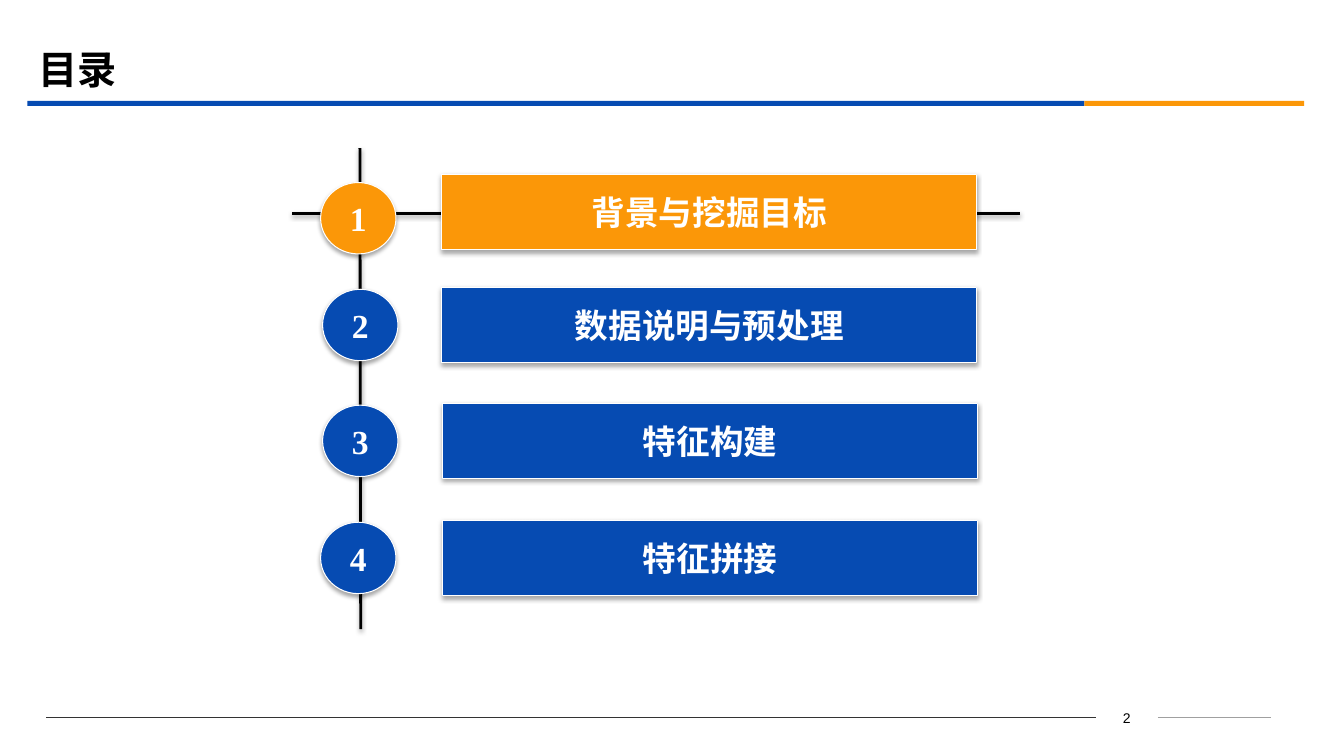
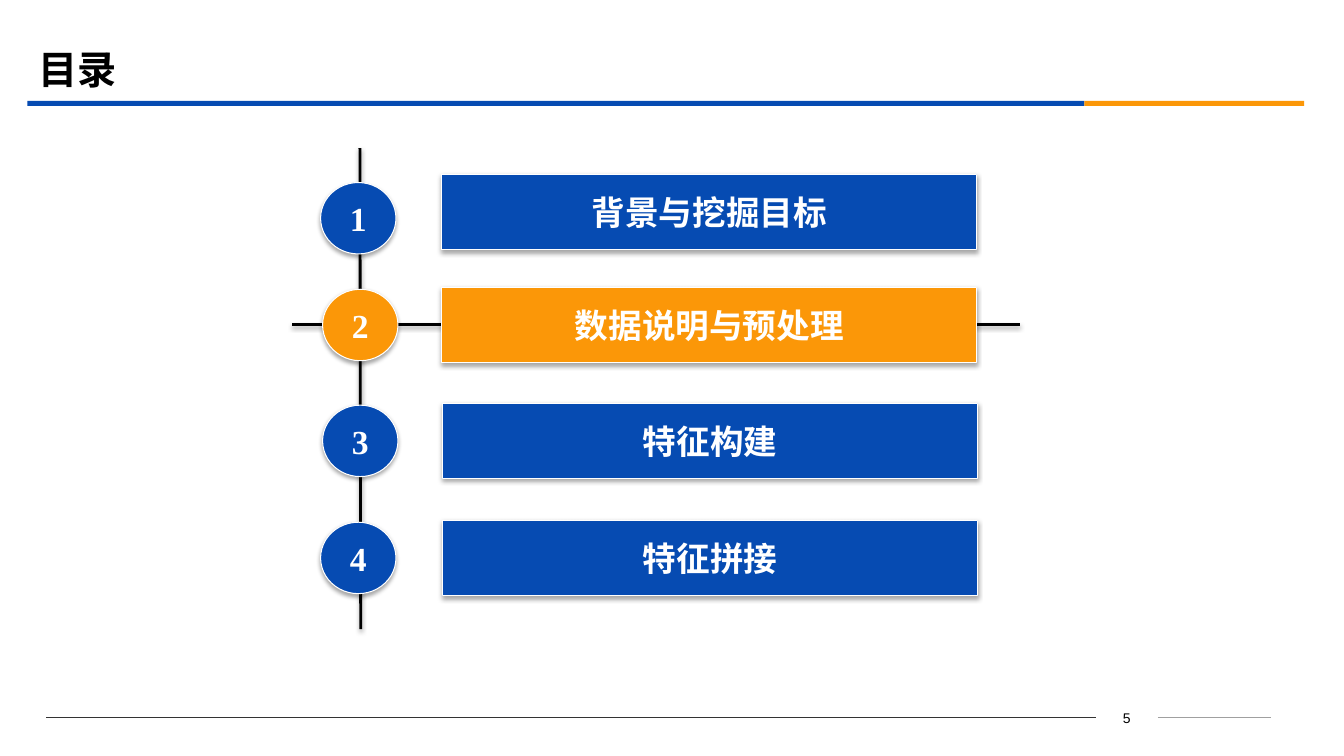
from pptx import Presentation
from pptx.dml.color import RGBColor
from pptx.enum.shapes import MSO_CONNECTOR as CONN, MSO_SHAPE as SHAPE
from pptx.enum.text import MSO_ANCHOR as ANCHOR, PP_ALIGN as ALIGN
from pptx.oxml.ns import qn
from pptx.util import Cm, Pt
from lxml.etree import SubElement

# Colours
BLUE = RGBColor(0x06, 0x4B, 0xB2)
ORANGE = RGBColor(0xFB, 0x97, 0x08)
BLACK = RGBColor(0x00, 0x00, 0x00)
WHITE = RGBColor(0xFF, 0xFF, 0xFF)
DARK = RGBColor(0x33, 0x33, 0x33)
GREY = RGBColor(0xA0, 0xA0, 0xA0)

# Text styles
CJK_FONT = "Noto Sans CJK SC"
TITLE = {"name": CJK_FONT, "size": Pt(28), "bold": True}
ITEM = {"name": "Times New Roman", "size": Pt(24), "bold": True}
NUMBER = {"name": "Arial", "size": Pt(10), "bold": False}

# Shared parts: bands (left, width, colour), footer rules (start, end, colour)
BANDS = [(0.69, 26.64, BLUE), (27.33, 5.54, ORANGE)]
RULES = [(1.17, 27.61, DARK), (29.18, 32.03, GREY)]
RULE_Y = 18.08

# Agenda rows: label, circle left and top, bar left and top
ROWS = [
    ("背景与挖掘目标", 8.08, 4.6, 11.13, 4.39),
    ("数据说明与预处理", 8.13, 7.29, 11.13, 7.24),
    ("特征构建", 8.13, 10.21, 11.15, 10.16),
    ("特征拼接", 8.08, 13.16, 11.15, 13.11),
]

# Slides: page number, active row, height of the marker line
SLIDES = [(2, 0, 5.38), (5, 1, 8.18)]


def put_text(sp, text, style, color, align, anchor=ANCHOR.MIDDLE, wrap=True):
    tf = sp.text_frame
    tf.word_wrap = wrap
    tf.vertical_anchor = anchor
    p = tf.paragraphs[0]
    p.alignment = align
    r = p.add_run()
    r.text = text
    for key, value in style.items():
        setattr(r.font, key, value)
    r.font.color.rgb = color
    SubElement(r.font._element, qn("a:ea"), typeface=CJK_FONT)


def set_shadow(sp, alpha=0, dist=0):
    """Replace the theme shadow by a soft one below, or by none."""
    effects = SubElement(sp._element.spPr, qn("a:effectLst"))
    if alpha:
        shadow = SubElement(effects, qn("a:outerShdw"), blurRad="40000",
                            dist=str(dist), dir="5400000", rotWithShape="0")
        color = SubElement(shadow, qn("a:srgbClr"), val=str(BLACK))
        SubElement(color, qn("a:alpha"), val=str(alpha * 1000))


prs = Presentation()
prs.slide_width, prs.slide_height = Cm(33.87), Cm(19.05)

for page, active, marker_y in SLIDES:
    s = prs.slides.add_slide(prs.slide_layouts[6])

    # Title and bands
    for left, width, color in BANDS:
        sp = s.shapes.add_shape(SHAPE.RECTANGLE, Cm(left), Cm(2.54), Cm(width), Cm(0.13))
        sp.fill.solid()
        sp.fill.fore_color.rgb = color
        sp.line.fill.background()
        sp.shadow.inherit = False
    sp = s.shapes.add_textbox(Cm(0.71), Cm(0.99), Cm(30.48), Cm(1.47))
    put_text(sp, "目录", TITLE, BLACK, ALIGN.LEFT)

    # Page number
    sp = s.shapes.add_textbox(Cm(27.61), Cm(17.75), Cm(1.57), Cm(0.64))
    put_text(sp, str(page), NUMBER, BLACK, ALIGN.CENTER, ANCHOR.TOP)

    # Footer rules, agenda spine and marker line
    lines = [(x1, RULE_Y, x2, RULE_Y, color, 0.75, 0) for x1, x2, color in RULES]
    lines += [(9.07, 3.73, 9.09, 15.85, BLACK, 2, 38),
              (7.37, marker_y, 25.7, marker_y, BLACK, 2, 38)]
    for x1, y1, x2, y2, color, weight, alpha in lines:
        line = s.shapes.add_connector(CONN.STRAIGHT, Cm(x1), Cm(y1), Cm(x2), Cm(y2))
        line.line.color.rgb = color
        line.line.width = Pt(weight)
        set_shadow(line, alpha, 20000)

    # Agenda rows, the active one in orange
    for i, (label, circle_x, circle_y, bar_x, bar_y) in enumerate(ROWS):
        parts = [
            (SHAPE.OVAL, circle_x, circle_y, 1.9, 1.8, str(i + 1)),
            (SHAPE.ACTION_BUTTON_CUSTOM, bar_x, bar_y, 13.49, 1.9, label),
        ]
        for kind, x, y, w, h, text in parts:
            sp = s.shapes.add_shape(kind, Cm(x), Cm(y), Cm(w), Cm(h))
            sp.fill.solid()
            sp.fill.fore_color.rgb = ORANGE if i == active else BLUE
            sp.line.color.rgb = WHITE
            sp.line.width = Pt(0.75)
            set_shadow(sp, 35, 23000)
            put_text(sp, text, ITEM, WHITE, ALIGN.CENTER, wrap=False)

prs.save("out.pptx")
